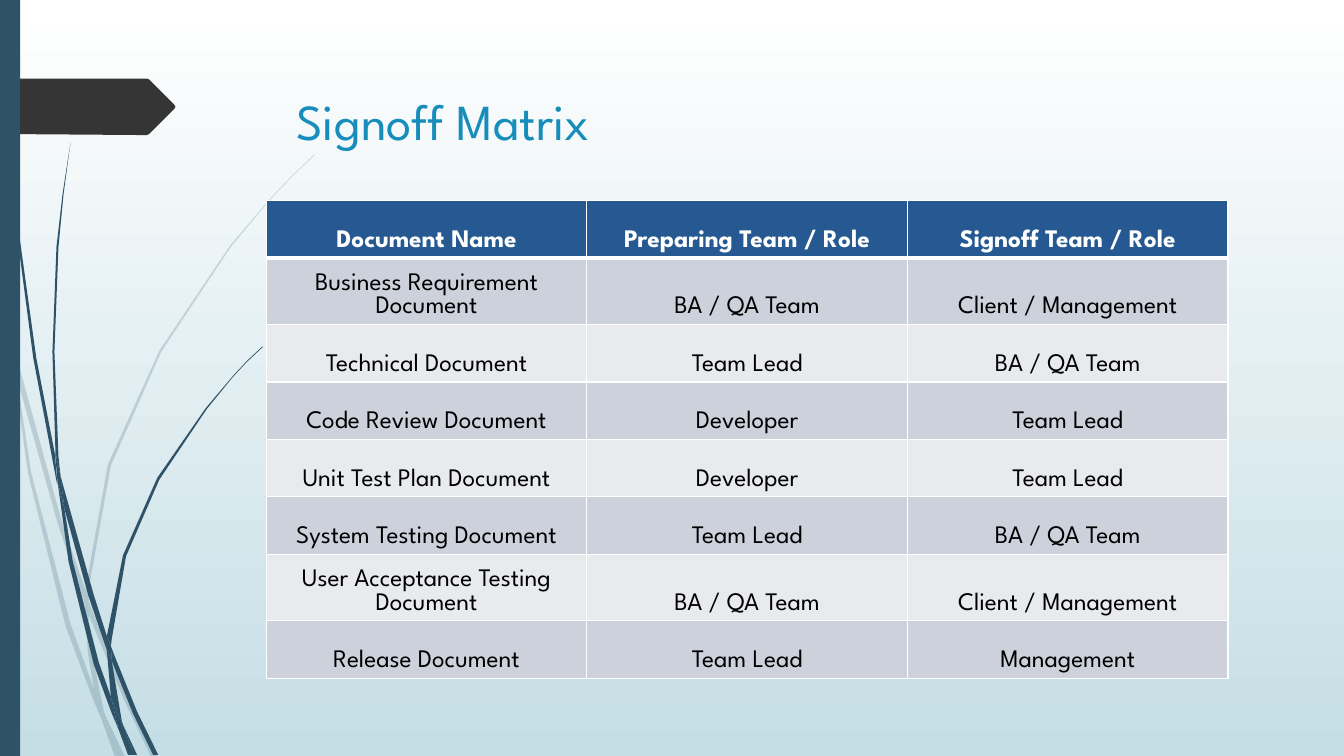
import pptx
import pptx.util
import pptx.oxml
import pptx.oxml.ns
import pptx.dml.color
import pptx.enum.text
import pptx.enum.shapes

PX = 9144
FONT = "League Spartan"
HUES = {"stem": "2E5369", "tag": "353535", "title": "178DBB", "head": "265991",
        "odd": "CDD1DC", "even": "E8EAEE", "white": "FFFFFF", "black": "000000", "sky": "C5DEE5"}
HUES = {name: pptx.dml.color.RGBColor.from_string(code) for name, code in HUES.items()}
ALIGN = pptx.enum.text.PP_ALIGN
ANCHOR = pptx.enum.text.MSO_ANCHOR


def write(frame, text, size=18, hue="black", bold=False, align=ALIGN.CENTER):
    frame.word_wrap = True
    para = frame.paragraphs[0]
    para.alignment = align
    run = para.add_run()
    run.text = text
    run.font.name = FONT
    run.font.size = pptx.util.Pt(size)
    run.font.bold = bold
    run.font.color.rgb = HUES[hue]


def paint(shape, hue):
    shape.shadow.inherit = False
    shape.fill.solid()
    shape.fill.fore_color.rgb = HUES[hue]
    shape.line.fill.background()


deck = pptx.Presentation()
deck.slide_width = 1333 * PX
deck.slide_height = 750 * PX
slide = deck.slides.add_slide(deck.slide_layouts[5])

back = slide.background.fill
back.gradient()
back.gradient_angle = 270
for stop, hue in zip(back.gradient_stops, ("white", "sky")):
    stop.color.rgb = HUES[hue]

pale = [
    [(11, 350), (9, 322), (0, 282), (0, 299), (10, 344)],
    [(58, 522), (84, 599), (85, 586), (62, 520), (14, 345), (17, 376)],
    [(92, 607), (88, 596), (88, 610), (123, 694), (150, 751), (155, 751), (127, 692)],
    [(119, 751), (124, 751), (105, 711)],
    [(93, 683), (70, 619), (31, 469), (17, 376), (11, 350), (28, 470), (65, 621),
     (92, 693), (101, 714), (99, 707)],
    [(84, 599), (87, 646), (93, 683), (96, 692), (105, 711), (103, 706), (91, 646),
     (88, 610), (88, 608)],
    [(88, 584), (110, 462), (160, 349), (229, 245), (268, 198), (290, 175), (312, 154),
     (312, 153), (289, 175), (268, 197), (228, 244), (158, 348), (107, 461), (85, 584),
     (85, 586), (88, 596)],
    [(101, 714), (114, 751), (119, 751)],
    [(88, 608), (88, 610), (88, 596), (85, 586), (84, 599)],
    [(96, 692), (93, 683), (99, 707), (101, 714), (119, 751), (105, 711)],
]
dark = [
    [(7, 110), (17, 233), (33, 355), (56, 477), (57, 481), (55, 457), (55, 453), (36, 355),
     (19, 232), (8, 109), (5, 48), (4, 0), (3, 0), (4, 48)],
    [(88, 592), (106, 645), (106, 633), (106, 631), (93, 590), (60, 472), (64, 505)],
    [(113, 649), (110, 641), (111, 656), (132, 708), (152, 749), (157, 749), (136, 706)],
    [(110, 691), (98, 657), (72, 556), (64, 505), (57, 477), (68, 557), (93, 659),
     (111, 708), (117, 722), (116, 717)],
    [(60, 472), (58, 453), (54, 349), (58, 245), (63, 193), (70, 141), (62, 193),
     (56, 245), (52, 349), (55, 449)],
    [(133, 749), (136, 749), (122, 719)],
    [(57, 477), (64, 505), (60, 472), (55, 449), (55, 453)],
    [(111, 633), (125, 552), (158, 476), (205, 406), (231, 374), (245, 359), (261, 344),
     (260, 344), (245, 358), (231, 373), (204, 405), (156, 474), (122, 551), (106, 631),
     (110, 641)],
    [(117, 722), (127, 749), (131, 749)],
    [(106, 645), (110, 691), (116, 706), (122, 719), (121, 716), (111, 656), (109, 651)],
    [(106, 645), (109, 651), (111, 656), (110, 641), (106, 631), (106, 633)],
    [(116, 706), (110, 691), (116, 717), (117, 722), (130, 749), (133, 749), (122, 719)],
]
tag = [[(173, 108), (148, 133), (146, 134), (136, 134), (0, 133), (0, 78), (136, 78),
        (146, 78), (148, 79), (173, 104), (174, 106)]]

for parts, hue, clear in ((pale, "stem", True), (dark, "stem", False), (tag, "tag", False)):
    group = slide.shapes.add_group_shape()
    for points in parts:
        pen = group.shapes.build_freeform(*points[0], scale=PX)
        pen.add_line_segments(points[1:], close=True)
        leaf = pen.convert_to_shape()
        paint(leaf, hue)
        if clear:
            tone = leaf.fill._xPr.find(".//" + pptx.oxml.ns.qn("a:srgbClr"))
            tone.append(pptx.oxml.parse_xml(
                f'<a:alpha {pptx.oxml.ns.nsdecls("a")} val="20000"/>'))

bar = slide.shapes.add_shape(pptx.enum.shapes.MSO_SHAPE.RECTANGLE, 0, 0, 20 * PX, 750 * PX)
paint(bar, "stem")

title = slide.shapes.title
title.left, title.top, title.width, title.height = (n * PX for n in (284, 68, 975, 140))
frame = title.text_frame
frame.auto_size = pptx.enum.text.MSO_AUTO_SIZE.NONE
frame.vertical_anchor = ANCHOR.TOP
frame.margin_top = 21 * PX
write(frame, "Signoff Matrix", size=36, hue="title", align=ALIGN.LEFT)

rows = [
    ("Document Name", "Preparing Team / Role", "Signoff Team / Role"),
    ("Business Requirement Document", "BA / QA Team", "Client / Management"),
    ("Technical Document", "Team Lead", "BA / QA Team"),
    ("Code Review Document", "Developer", "Team Lead"),
    ("Unit Test Plan Document", "Developer", "Team Lead"),
    ("System Testing Document", "Team Lead", "BA / QA Team"),
    ("User Acceptance Testing Document", "BA / QA Team", "Client / Management"),
    ("Release Document", "Team Lead", "Management"),
]
table = slide.shapes.add_table(
    len(rows), 3, 264 * PX, 199 * PX, 954 * PX, 473 * PX).table
for col in table.columns:
    col.width = 318 * PX
for r, texts in enumerate(rows):
    table.rows[r].height = (66 if r in (1, 6) else 57) * PX
    head = r == 0
    for c, text in enumerate(texts):
        cell = table.cell(r, c)
        cell.fill.solid()
        cell.fill.fore_color.rgb = HUES["head" if head else "odd" if r % 2 else "even"]
        cell.vertical_anchor = ANCHOR.BOTTOM
        cell.margin_left = cell.margin_right = cell.margin_top = PX
        cell.margin_bottom = 5 * PX
        write(cell.text_frame, text, hue="white" if head else "black", bold=head)
        props = cell._tc.get_or_add_tcPr()
        for i, side in enumerate("LRTB"):
            thick = 3 if (r, side) in ((0, "B"), (1, "T")) else 1
            props.insert(i, pptx.oxml.parse_xml(
                f'<a:ln{side} {pptx.oxml.ns.nsdecls("a")} w="{pptx.util.Pt(thick)}">'
                f'<a:solidFill><a:srgbClr val="{HUES["white"]}"/></a:solidFill></a:ln{side}>'))

deck.save("out.pptx")
